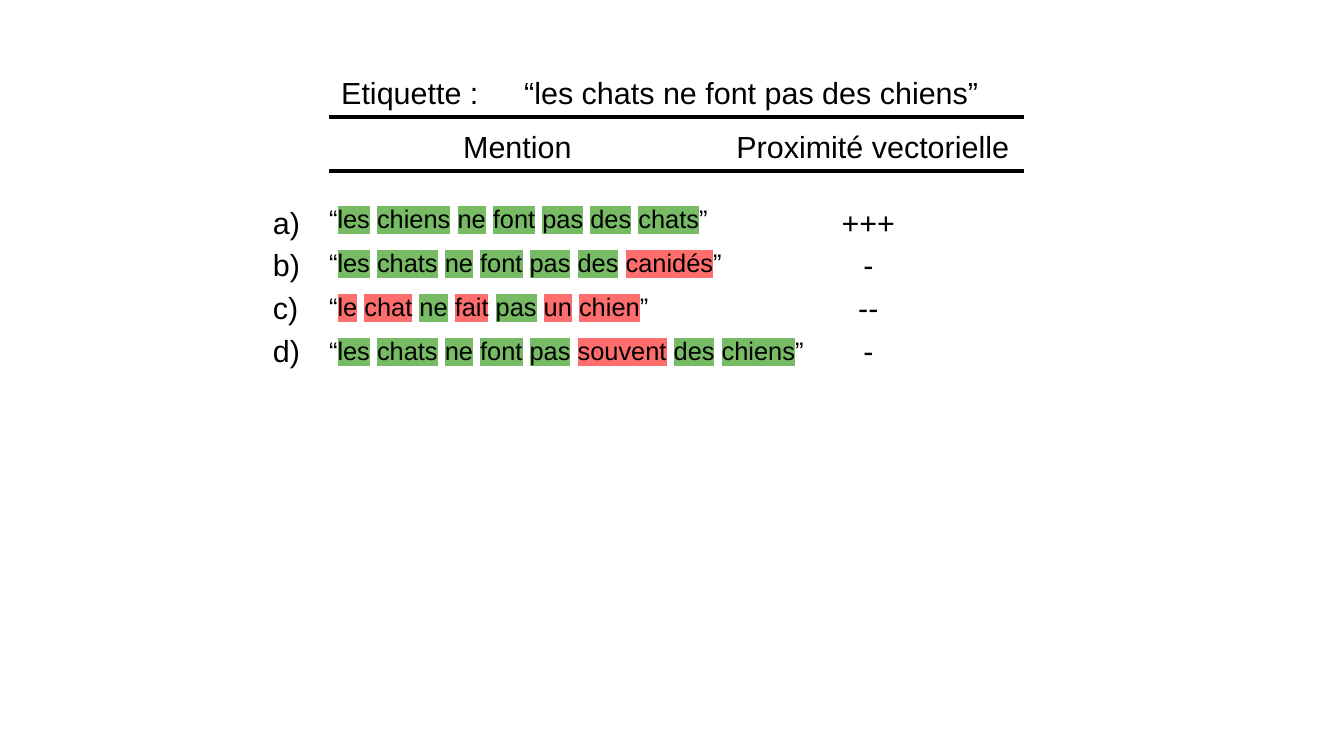
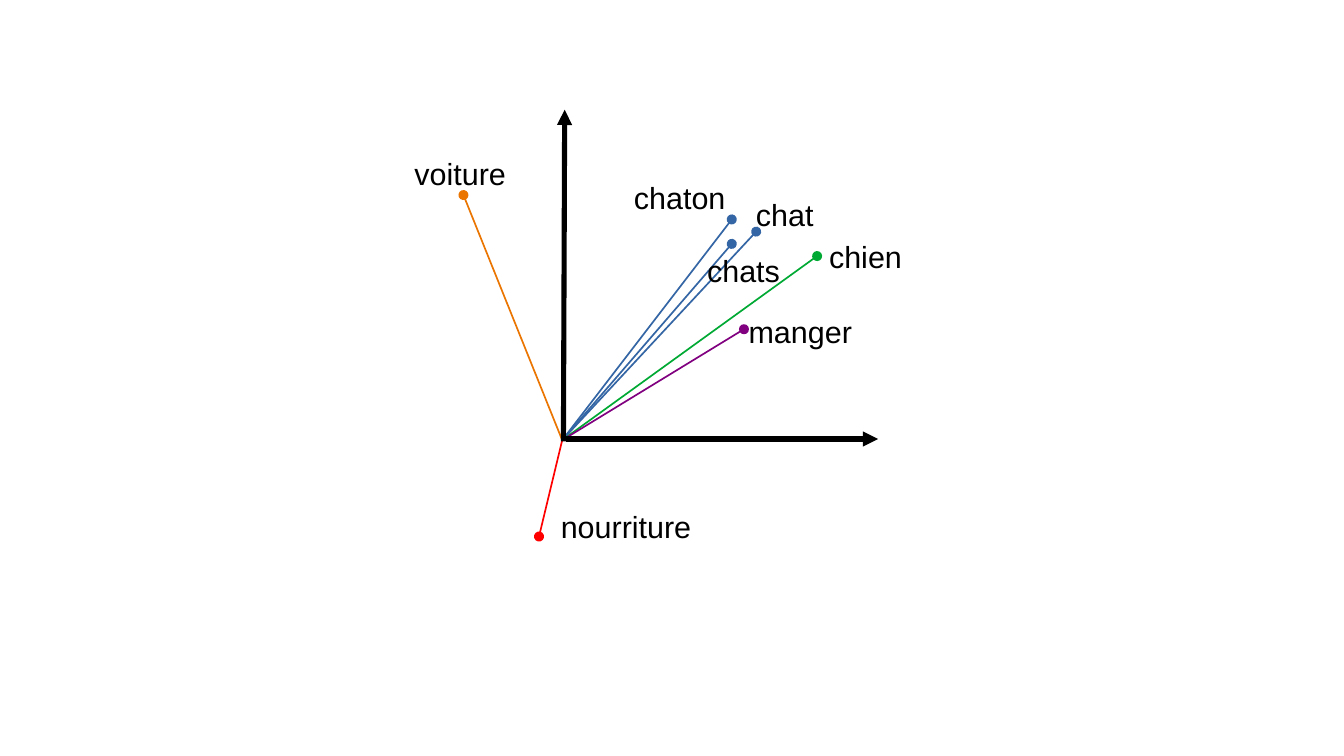
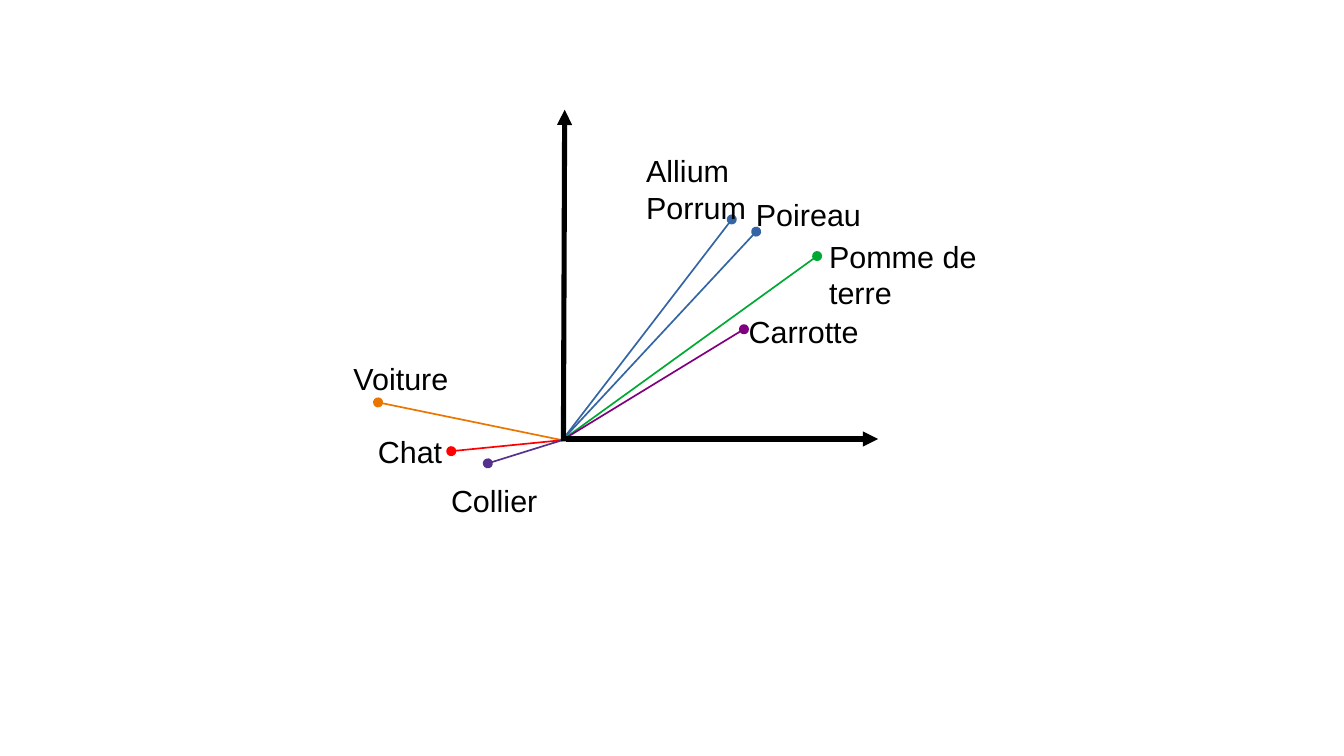
"""Build three slides on how close words and phrases are as vectors."""
from lxml.etree import SubElement
from pptx import Presentation
from pptx.dml.color import RGBColor
from pptx.enum.shapes import MSO_CONNECTOR
from pptx.enum.text import MSO_ANCHOR, PP_ALIGN
from pptx.oxml.ns import qn
from pptx.util import Pt

PX = 9144
FONT = "Arial"
BLACK, GREEN, ROSE = "000000", "77BC65", "FF6D6D"
BLUE, LEAF, PURPLE = "3465A4", "00A933", "800080"
ORANGE, RED, VIOLET = "EA7500", "FF0000", "55308D"

HEADINGS = [
    ("Etiquette :", 270, 56, 150),
    ("“les chats ne font pas des chiens”", 420, 56, 504),
    ("Mention", 370, 100, 220),
    ("Proximité vectorielle", 594, 100, 310),
]
RULES = [96, 140]
RULE_LEFT, RULE_RIGHT = 270, 840
ROWS_TOP, ROW_PITCH, MENTION_PITCH = 162, 35, 36
MENTIONS = [
    ("a)", "les chiens ne font pas des chats", [], "+++"),
    ("b)", "les chats ne font pas des canidés", ["canidés"], "-"),
    ("c)", "le chat ne fait pas un chien",
     ["le", "chat", "fait", "un", "chien"], "--"),
    ("d)", "les chats ne font pas souvent des chiens", ["souvent"], "-"),
]

ORIGIN = (461, 361)
AXES = [((464, 360), (720, 360)), ((462, 362), (463, 90))]
ANIMAL_VECTORS = [
    ("chaton", BLUE, (600, 180), (510, 142, 110)),
    ("chats", BLUE, (600, 200), (570, 202, 90)),
    ("chat", BLUE, (620, 190), (610, 156, 80)),
    ("chien", LEAF, (670, 210), (670, 190, 90)),
    ("manger", PURPLE, (610, 270), (604, 252, 110)),
    ("voiture", ORANGE, (380, 160), (330, 122, 110)),
    ("nourriture", RED, (442, 440), (450, 412, 140)),
]
VEGETABLE_VECTORS = [
    ("Allium Porrum", BLUE, (600, 180), (520, 120, 110)),
    ("Poireau", BLUE, (620, 190), (610, 156, 130)),
    ("Pomme de terre", LEAF, (670, 210), (670, 190, 150)),
    ("Carrotte", PURPLE, (610, 270), (604, 252, 120)),
    ("Voiture", ORANGE, (310, 330), (280, 290, 110)),
    ("Chat", RED, (370, 370), (300, 350, 80)),
    ("Collier", VIOLET, (400, 380), (360, 390, 110)),
]


def color(value):
    return RGBColor.from_string(value)


def add_span(para, text, size, highlight=None):
    span = para.add_run()
    span.text = text
    span.font.size = Pt(size)
    span.font.color.rgb = color(BLACK)
    span.font.name = FONT
    if highlight:
        fill = span.font._element.find(qn("a:solidFill"))
        mark = SubElement(span.font._element, qn("a:highlight"))
        SubElement(mark, qn("a:srgbClr")).set("val", highlight)
        fill.addnext(mark)


def add_text(page, content, left, top, width, *, height=38, size=18,
             align=PP_ALIGN.LEFT):
    """Add a text box; content is a string or a list of (text, highlight)."""
    box = page.shapes.add_textbox(left * PX, top * PX, width * PX, height * PX)
    frame = box.text_frame
    frame.word_wrap = True
    frame.vertical_anchor = MSO_ANCHOR.TOP
    para = frame.paragraphs[0]
    para.alignment = align
    spans = [(content, None)] if isinstance(content, str) else content
    for text, highlight in spans:
        add_span(para, text, size, highlight)


def add_line(page, start, end, *, stroke=BLACK, width=1, tail=None):
    ends = [value * PX for value in (*start, *end)]
    line = page.shapes.add_connector(MSO_CONNECTOR.STRAIGHT, *ends)
    line.line.color.rgb = color(stroke)
    line.line.width = Pt(width)
    properties = line._element.spPr
    if tail:
        SubElement(properties.find(qn("a:ln")), qn("a:tailEnd")).set("type", tail)
    SubElement(properties, qn("a:effectLst"))


def marked_words(sentence, changed):
    spans = [("“", None)]
    for index, word in enumerate(sentence.split()):
        if index:
            spans.append((" ", None))
        spans.append((word, ROSE if word in changed else GREEN))
    return spans + [("”", None)]


def draw_mentions(page):
    for text, left, top, width in HEADINGS:
        add_text(page, text, left, top, width)
    for top in RULES:
        add_line(page, (RULE_LEFT, top), (RULE_RIGHT, top), width=2.3)
    for index, (label, sentence, changed, score) in enumerate(MENTIONS):
        top = ROWS_TOP + index * ROW_PITCH
        add_text(page, label, 214, top, 50)
        add_text(page, marked_words(sentence, changed), 260,
                 ROWS_TOP + index * MENTION_PITCH, 500, size=15)
        add_text(page, score, 672, top, 80, align=PP_ALIGN.CENTER)


def draw_vectors(page, vectors):
    for _, stroke, tip, _ in vectors:
        add_line(page, ORIGIN, tip, stroke=stroke, tail="oval")
    for start, end in AXES:
        add_line(page, start, end, width=3, tail="triangle")
    for word, _, _, place in vectors:
        add_text(page, word, *place)


def main():
    deck = Presentation()
    deck.slide_width, deck.slide_height = 1102 * PX, 620 * PX
    blank = deck.slide_layouts[6]
    draw_mentions(deck.slides.add_slide(blank))
    for vectors in (ANIMAL_VECTORS, VEGETABLE_VECTORS):
        draw_vectors(deck.slides.add_slide(blank), vectors)
    deck.save("out.pptx")


if __name__ == "__main__":
    main()
